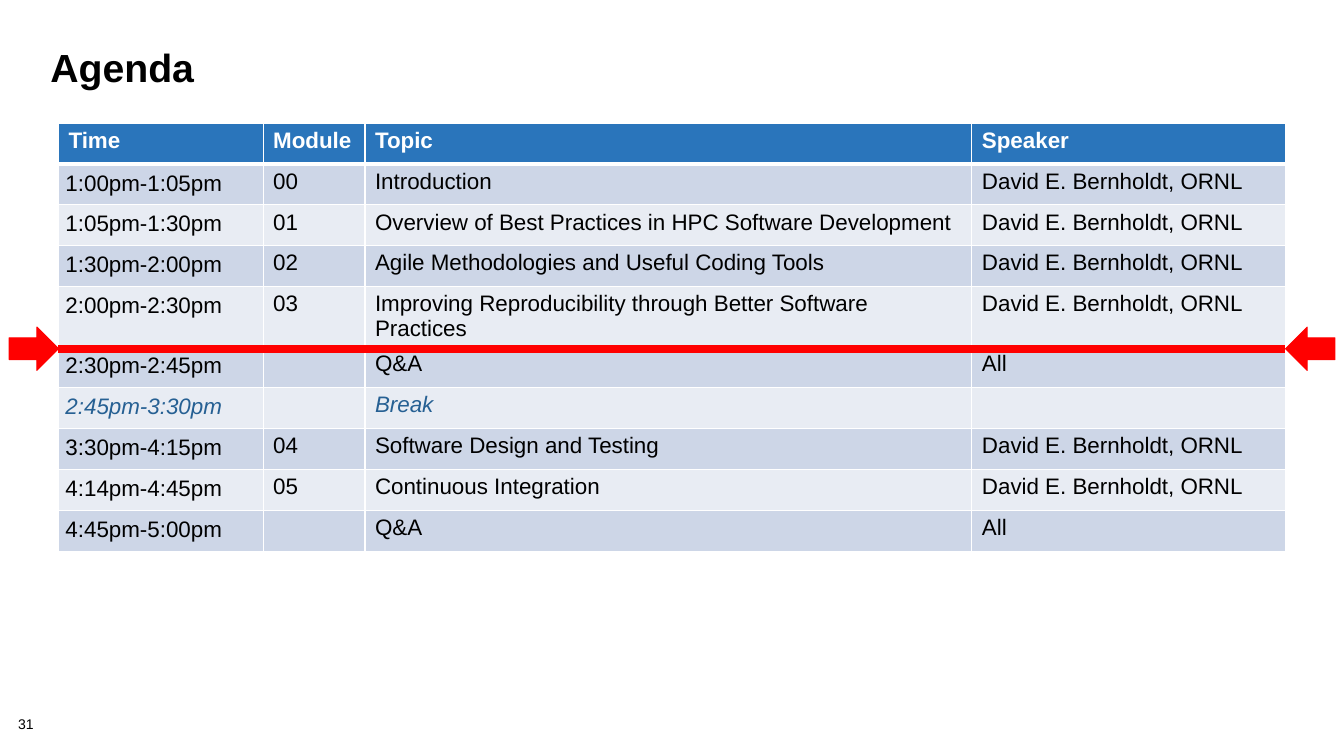
"""Build the agenda slide with its timetable and progress marker."""
from lxml import etree
from pptx import Presentation
from pptx.dml.color import RGBColor
from pptx.enum.shapes import MSO_CONNECTOR, MSO_SHAPE
from pptx.enum.text import MSO_ANCHOR, PP_ALIGN
from pptx.oxml.ns import qn
from pptx.util import Inches, Pt

BLACK = RGBColor(0, 0, 0)
WHITE = RGBColor(0xFF, 0xFF, 0xFF)
RED = RGBColor(0xFF, 0, 0)
BLUE = RGBColor(0x2A, 0x75, 0xBB)
TEAL = RGBColor(0x26, 0x60, 0x93)
DARK = RGBColor(0xCD, 0xD6, 0xE7)
PALE = RGBColor(0xE8, 0xEC, 0xF3)
ARROW = MSO_SHAPE.RIGHT_ARROW
LINE = MSO_CONNECTOR.STRAIGHT
TOP = MSO_ANCHOR.TOP
LEFT = PP_ALIGN.LEFT

HOST = "David E. Bernholdt, ORNL"
ROWS = [
    ("Time", "Module", "Topic", "Speaker"),
    ("1:00pm-1:05pm", "00", "Introduction", HOST),
    ("1:05pm-1:30pm", "01", "Overview of Best Practices in HPC Software Development", HOST),
    ("1:30pm-2:00pm", "02", "Agile Methodologies and Useful Coding Tools", HOST),
    ("2:00pm-2:30pm", "03", "Improving Reproducibility through Better Software Practices", HOST),
    ("2:30pm-2:45pm", "", "Q&A", "All"),
    ("2:45pm-3:30pm", "", "Break", ""),
    ("3:30pm-4:15pm", "04", "Software Design and Testing", HOST),
    ("4:14pm-4:45pm", "05", "Continuous Integration", HOST),
    ("4:45pm-5:00pm", "", "Q&A", "All"),
]
WIDTHS = [2.03, 1.01, 6.02, 3.11]
BREAK = 6
X, Y = 0.58, 1.22
END = X + sum(WIDTHS)
MARK = 3.46
TIP_W, TIP_H = 0.49, 0.43
SIDES = ("left", "right", "top", "bottom")


def write(frame, text, space=1.0, **form):
    """Put one formatted paragraph in a text frame."""
    para = frame.paragraphs[0]
    para.text = text
    para.alignment = LEFT
    para.line_spacing = space
    color = form.pop("color", BLACK)
    for key, value in {"name": "Arial", **form}.items():
        setattr(para.font, key, value)
    para.font.color.rgb = color


def inset(item, size):
    """Set all four margins in inches."""
    for side in SIDES:
        setattr(item, "margin_" + side, Inches(size))


def edge(cell, head):
    """Draw white cell borders, heavier below the header."""
    props = cell._tc.get_or_add_tcPr()
    for side in "LRTB":
        wide = 3 if head and side == "B" else 1
        line = etree.SubElement(props, qn("a:ln" + side), w=str(Pt(wide)))
        fill = etree.SubElement(line, qn("a:solidFill"))
        etree.SubElement(fill, qn("a:srgbClr"), val=str(WHITE))


def add_plan(slide):
    """Add the timetable."""
    frame = slide.shapes.add_table(
        len(ROWS), len(WIDTHS), Inches(X), Inches(Y),
        Inches(sum(WIDTHS)), Inches(4.06))
    table = frame.table
    for col, width in zip(table.columns, WIDTHS):
        col.width = Inches(width)
    for r, row in enumerate(ROWS):
        head, rest = r == 0, r == BREAK
        fill = BLUE if head else DARK if r % 2 else PALE
        color = WHITE if head else TEAL if rest else BLACK
        for c, text in enumerate(row):
            cell = table.cell(r, c)
            edge(cell, head)
            cell.fill.solid()
            cell.fill.fore_color.rgb = fill
            if c == 0 and not head:
                inset(cell, 0.07)
            write(cell.text_frame, text, size=Pt(16), bold=head,
                  italic=rest, color=color)


def add_mark(slide):
    """Add the red line with an arrow at each end."""
    group = slide.shapes.add_group_shape()
    line = group.shapes.add_connector(
        LINE, Inches(X), Inches(MARK), Inches(END), Inches(MARK))
    line.line.color.rgb = RED
    line.line.width = Pt(6)
    etree.SubElement(line._element.spPr, qn("a:effectLst"))
    for left, turn in ((X - TIP_W, 0), (END, 180)):
        tip = group.shapes.add_shape(
            ARROW, Inches(left), Inches(MARK - TIP_H / 2),
            Inches(TIP_W), Inches(TIP_H))
        tip.rotation = turn
        tip.shadow.inherit = False
        tip.fill.solid()
        tip.fill.fore_color.rgb = RED
        tip.line.color.rgb = RED
        tip.line.width = Pt(0.75)


def main():
    """Build and save the slide."""
    deck = Presentation()
    deck.slide_width, deck.slide_height = Inches(13.33), Inches(7.5)
    slide = deck.slides.add_slide(deck.slide_layouts[5])
    title = slide.shapes.title
    title.left, title.top = Inches(0.4), Inches(0.45)
    title.width, title.height = Inches(12.44), Inches(1)
    title.text_frame.vertical_anchor = TOP
    write(title.text_frame, "Agenda", 0.85, size=Pt(28), bold=True)
    add_plan(slide)
    add_mark(slide)
    page = slide.shapes.add_textbox(
        Inches(0.18), Inches(7.12), Inches(0.56), Inches(0.16)).text_frame
    page.word_wrap = True
    inset(page, 0)
    write(page, "31", 0.9, size=Pt(10))
    deck.save("out.pptx")


if __name__ == "__main__":
    main()
